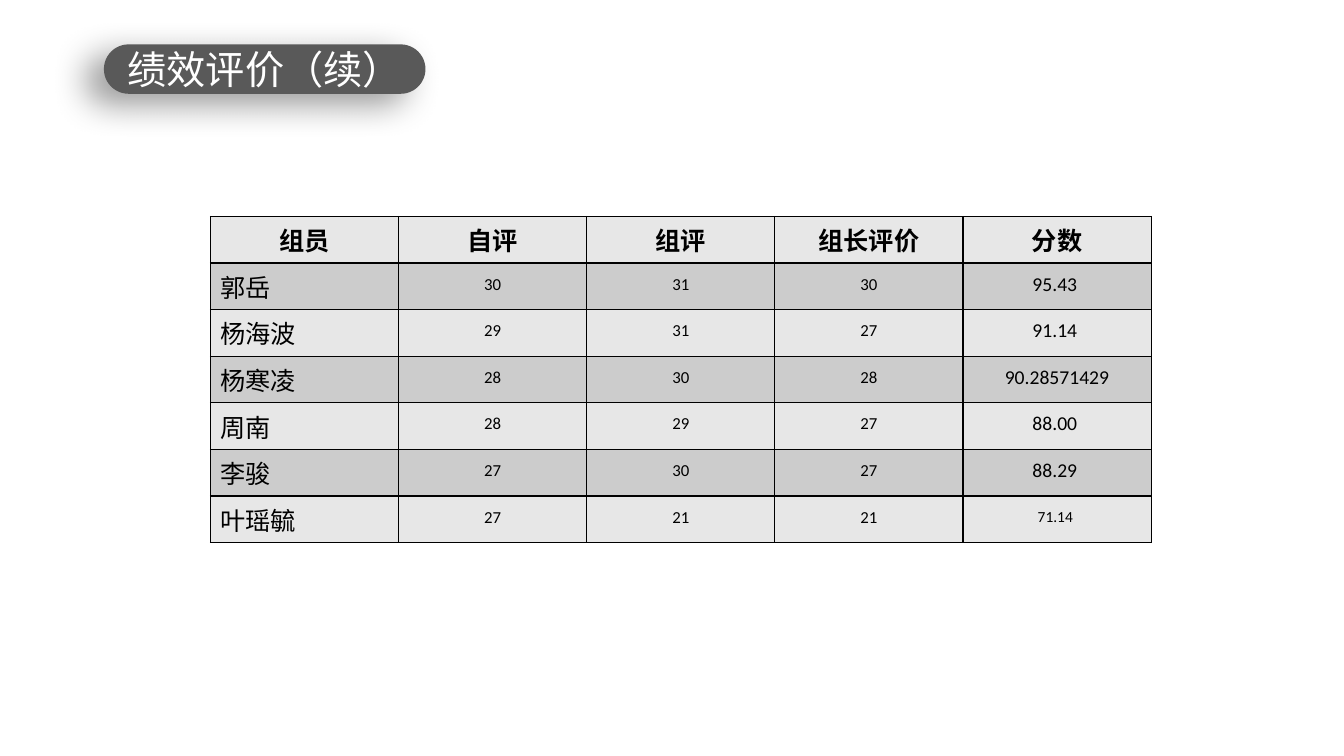
from lxml import etree
from pptx import Presentation
from pptx import util as u
from pptx.dml import color
from pptx.enum import shapes, text
from pptx.oxml import ns

COLORS = {
    "black": "000000",
    "white": "FFFFFF",
    "pill": "595959",
    "light row": "E7E7E7",
    "dark row": "CCCCCC",
}
HEADERS = ["组员", "自评", "组评", "组长评价", "分数"]
MEMBERS = [
    ["郭岳", "30", "31", "30", "95.43 "],
    ["杨海波", "29", "31", "27", "91.14 "],
    ["杨寒凌", "28", "30", "28", "90.28571429"],
    ["周南", "28", "29", "27", "88.00 "],
    ["李骏", "27", "30", "27", "88.29 "],
    ["叶瑶毓", "27", "21", "21", "71.14 "],
]
COLUMN_SIZES = [18, 12, 12, 12, 14]
LAST_SCORE_SIZE = 11
COLUMN_WIDTH, ROW_HEIGHT = 134.4, 30.2
PILL_BOX = [u.Pt(length) for length in (74.2, 31.7, 229.7, 35.3)]


class SlideBuilder:
    font = "Calibri"

    def __init__(self, slide):
        self.slide = slide

    def rgb(self, name):
        return color.RGBColor.from_string(COLORS[name])

    def add_text(self, frame, words, size, ink, bold=False, centred=True):
        paragraph = frame.paragraphs[0]
        paragraph.alignment = (
            text.PP_ALIGN.CENTER if centred else text.PP_ALIGN.LEFT
        )
        run = paragraph.add_run()
        run.text = words
        run.font.name = self.font
        run.font.size = u.Pt(size)
        run.font.bold = bold
        run.font.color.rgb = self.rgb(ink)

    def add_shadow(self, shape):
        """Cast a soft shadow to the lower left."""
        shape.shadow.inherit = False
        effects = shape._element.spPr.find(ns.qn("a:effectLst"))
        shadow = etree.SubElement(
            effects, ns.qn("a:outerShdw"),
            blurRad=str(u.Pt(25)), dist=str(u.Pt(15)),
            dir=str(150 * 60000), algn="ctr", rotWithShape="0",
        )
        tint = etree.SubElement(shadow, ns.qn("a:srgbClr"), val=COLORS["black"])
        etree.SubElement(tint, ns.qn("a:alpha"), val="40000")

    def add_pill(self):
        pill = self.slide.shapes.add_shape(
            shapes.MSO_SHAPE.ROUNDED_RECTANGLE, *PILL_BOX
        )
        pill.adjustments[0] = 0.5
        pill.fill.solid()
        pill.fill.fore_color.rgb = self.rgb("pill")
        pill.line.fill.background()
        self.add_shadow(pill)

    def add_title(self, words):
        """Fill the title placeholder and lift it above the pill."""
        title = self.slide.shapes.title
        title.left, title.top, title.width, title.height = PILL_BOX
        frame = title.text_frame
        frame.word_wrap = True
        frame.auto_size = text.MSO_AUTO_SIZE.NONE
        frame.vertical_anchor = text.MSO_ANCHOR.MIDDLE
        self.add_text(frame, words, 28, "white")
        self.slide.shapes._spTree.append(title._element)

    def add_borders(self, cell):
        properties = cell._tc.get_or_add_tcPr()
        for index, side in enumerate(("lnL", "lnR", "lnT", "lnB")):
            line = etree.Element(ns.qn(f"a:{side}"), w=str(u.Pt(1)))
            fill = etree.SubElement(line, ns.qn("a:solidFill"))
            etree.SubElement(fill, ns.qn("a:srgbClr"), val=COLORS["black"])
            properties.insert(index, line)

    def fill_cell(self, cell, words, size, shade, header, name):
        cell.fill.solid()
        cell.fill.fore_color.rgb = self.rgb(shade)
        self.add_borders(cell)
        if not name:
            cell.vertical_anchor = text.MSO_ANCHOR.MIDDLE
        if not (header or name):
            cell.margin_left = cell.margin_right = cell.margin_top = u.Pt(0.75)
        self.add_text(cell.text_frame, words, size, "black", header, not name)

    def add_score_table(self, left, top):
        rows = [HEADERS] + MEMBERS
        table = self.slide.shapes.add_table(
            len(rows), len(HEADERS), u.Pt(left), u.Pt(top),
            u.Pt(COLUMN_WIDTH * len(HEADERS)), u.Pt(ROW_HEIGHT * len(rows)),
        ).table
        table.first_row = table.horz_banding = False
        for row, values in enumerate(rows):
            shade = "dark row" if row % 2 else "light row"
            header = row == 0
            for column, words in enumerate(values):
                size = 18 if header else COLUMN_SIZES[column]
                if row == len(MEMBERS) and column == len(HEADERS) - 1:
                    size = LAST_SCORE_SIZE
                self.fill_cell(
                    table.cell(row, column), words, size, shade,
                    header, name=column == 0 and not header,
                )


def main():
    presentation = Presentation()
    presentation.slide_width = u.Pt(960)
    presentation.slide_height = u.Pt(540)
    title_only = presentation.slide_layouts[5]
    builder = SlideBuilder(presentation.slides.add_slide(title_only))
    builder.add_pill()
    builder.add_title("绩效评价（续）")
    builder.add_score_table(150.3, 154.6)
    presentation.save("out.pptx")


if __name__ == "__main__":
    main()
